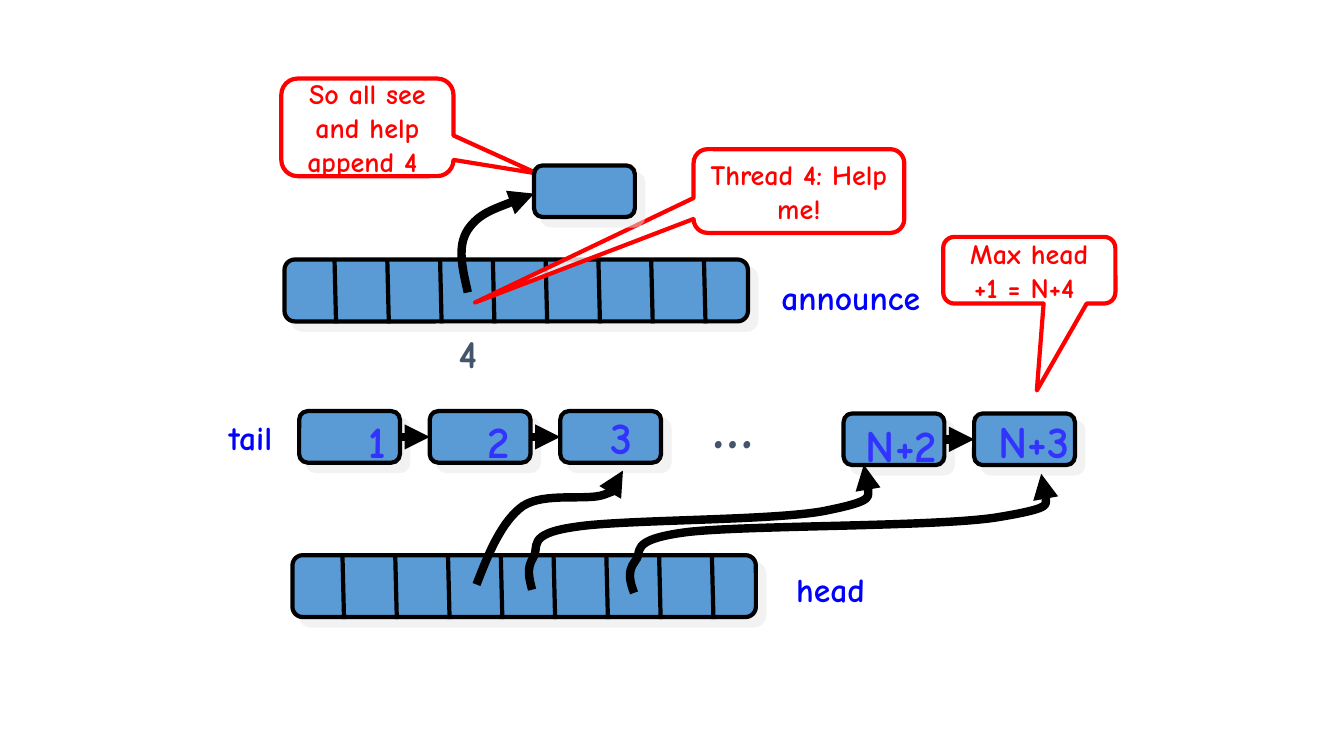
from lxml import etree
from pptx import Presentation
from pptx.dml.color import RGBColor
from pptx.enum.shapes import MSO_CONNECTOR, MSO_SHAPE
from pptx.enum.text import MSO_ANCHOR, PP_ALIGN
from pptx.oxml.ns import qn
from pptx.util import Cm, Pt

STRAIGHT = MSO_CONNECTOR.STRAIGHT
ROUNDED = MSO_SHAPE.ROUNDED_RECTANGLE
CALLOUT = MSO_SHAPE.ROUNDED_RECTANGULAR_CALLOUT
CENTER, RIGHT = PP_ALIGN.CENTER, PP_ALIGN.RIGHT
MIDDLE = MSO_ANCHOR.MIDDLE

FONT = "Comic Neue"
COLORS = {
    "cell": "5B9BD5", "ink": "000000", "shadow": "E7E6E6", "paper": "FFFFFF",
    "alert": "FF0000", "name": "0000FF", "number": "3333FF", "index": "44546A",
}

# All lengths are in centimetres.
NODE_W, NODE_H, NODE_PITCH = 2.54, 1.3, 3.29
ARRAY_W, ARRAY_H = 11.68, 1.56
DIVIDERS, DIVIDER_START, DIVIDER_PITCH = 8, 1.26, 1.33
DIVIDER_H, DIVIDER_SLANT = 1.61, 0.04

# first node left, top, number of linked nodes
CHAINS = [(7.54, 10.36, 3), (21.26, 10.42, 2)]
NEW_NODE = (13.46, 4.17)
HEAD_ARRAY, ANNOUNCE_ARRAY = (7.37, 13.99), (7.17, 6.54)

# text, left, top, width, height, size, colour
LABELS = [
    ("announce", 19.33, 6.86, 4.11, 1.27, 24, "name"),
    ("tail", 5.26, 10.39, 1.85, 1.27, 24, "name"),
    ("head", 19.61, 14.22, 2.44, 1.27, 24, "name"),
    ("1", 8.79, 10.29, 1.19, 1.6, 32, "number"),
    ("2", 11.91, 10.31, 1.19, 1.6, 32, "number"),
    ("3", 15.01, 10.19, 1.19, 1.6, 32, "number"),
    ("N+2", 21.08, 10.39, 2.79, 1.6, 32, "number"),
    ("N+3", 24.41, 10.29, 2.79, 1.6, 32, "number"),
    ("…", 17.68, 9.63, 1.55, 2.11, 44, "index"),
    ("4", 11.15, 8.18, 1.12, 1.45, 28, "index"),
]

# text, left, top, width, height, pointer x and y, opacity in percent
CALLOUTS = [
    ("Max head +1 = N+4 ", 23.77, 5.97, 4.34, 1.68, 0.044, 1.804, 0),
    ("Thread 4: Help me!", 17.48, 3.76, 5.31, 2.11, -1.537, 1.331, 80),
    ("So all see and help append 4 ", 7.09, 1.98, 4.34, 2.46, 0.987, 0.473, 80),
]

# start point, then three Bezier points per curve
POINTERS = {
    "announce 4 to new node": [
        (11.79, 7.37), (11.66, 6.78), (11.51, 6.22), (11.79, 5.79),
        (12.07, 5.38), (12.78, 5.13), (13.46, 4.88)],
    "head to N+3": [
        (15.98, 14.94), (15.88, 14.68), (15.8, 14.4), (16, 14.15),
        (16.23, 13.92), (15.77, 13.61), (17.3, 13.41),
        (18.82, 13.23), (23.7, 13.28), (25.17, 13.03),
        (26.67, 12.78), (26.44, 12.37), (26.24, 11.94)],
    "head to 3": [
        (12.01, 14.73), (12.32, 13.92), (12.65, 13.13), (13.18, 12.75),
        (13.72, 12.4), (14.78, 12.62), (15.21, 12.47),
        (15.62, 12.32), (15.67, 12.09), (15.7, 11.86)],
    "head to N+2": [
        (13.41, 14.86), (13.34, 14.58), (13.26, 14.33), (13.44, 14.05),
        (13.61, 13.79), (13.23, 13.46), (14.48, 13.28),
        (15.72, 13.08), (19.69, 13.13), (20.9, 12.85),
        (22.12, 12.6), (21.95, 12.17), (21.77, 11.71)],
}


def rgb(name):
    """Return a palette colour."""
    return RGBColor.from_string(COLORS[name])


def add_child(parent, tag, **attributes):
    """Append a DrawingML element."""
    texts = {key: str(value) for key, value in attributes.items()}
    return etree.SubElement(parent, qn("a:" + tag), texts)


def set_line(item, color, width, arrow=False):
    """Style an outline and, if asked, give its end an arrowhead."""
    item.line.color.rgb = rgb(color)
    item.line.width = Pt(width)
    if arrow:
        add_child(item.line._get_or_add_ln(), "tailEnd", type="triangle")


def add_text(frame, text, size, color, align):
    """Write one bold run into a text frame."""
    paragraph = frame.paragraphs[0]
    paragraph.alignment = align
    run = paragraph.add_run()
    run.text = text
    run.font.name, run.font.size, run.font.bold = FONT, Pt(size), True
    run.font.color.rgb = rgb(color)


def add_box(shapes, left, top, width, height):
    """Add a blue rounded box with an offset shadow."""
    box = shapes.add_shape(ROUNDED, Cm(left), Cm(top), Cm(width), Cm(height))
    box.fill.solid()
    box.fill.fore_color.rgb = rgb("cell")
    set_line(box, "ink", 3)
    box.shadow.inherit = False
    effects = box._element.spPr.find(qn("a:effectLst"))
    shadow = add_child(effects, "outerShdw", dist=Pt(8.5), dir=45 * 60000,
                       algn="ctr", rotWithShape=0)
    tint = add_child(shadow, "srgbClr", val=COLORS["shadow"])
    add_child(tint, "alpha", val=50000)


def add_segment(shapes, start, end, width, arrow=False):
    """Add a straight black line without a shadow."""
    points = [Cm(value) for value in (*start, *end)]
    segment = shapes.add_connector(STRAIGHT, *points)
    set_line(segment, "ink", width, arrow)
    add_child(segment._element.spPr, "effectLst")


def add_chain(shapes, left, top, count):
    """Add nodes in a row, each linked to the next."""
    middle = top + NODE_H / 2
    for index in range(count):
        x = left + index * NODE_PITCH
        add_box(shapes, x, top, NODE_W, NODE_H)
        if index:
            add_segment(shapes, (x - NODE_PITCH + NODE_W, middle),
                        (x, middle), 6, arrow=True)


def add_array(shapes, left, top):
    """Add a grouped array: a long box cut by slightly slanted dividers."""
    cells = shapes.add_group_shape().shapes
    add_box(cells, left, top, ARRAY_W, ARRAY_H)
    for index in range(DIVIDERS):
        x = left + DIVIDER_START + index * DIVIDER_PITCH
        add_segment(cells, (x, top), (x + DIVIDER_SLANT, top + DIVIDER_H), 3)


def add_callout(shapes, text, left, top, width, height, tip_x, tip_y, opacity):
    """Add a red speech bubble pointing at its target."""
    bubble = shapes.add_shape(CALLOUT, Cm(left), Cm(top), Cm(width), Cm(height))
    bubble.adjustments[0], bubble.adjustments[1] = tip_x, tip_y
    if opacity:
        bubble.fill.solid()
        bubble.fill.fore_color.rgb = rgb("paper")
        tint = bubble._element.spPr.find(qn("a:solidFill"))[0]
        add_child(tint, "alpha", val=opacity * 1000)
    else:
        bubble.fill.background()
    set_line(bubble, "alert", 3)
    bubble.shadow.inherit = False
    bubble.text_frame.word_wrap = True
    bubble.text_frame.vertical_anchor = MIDDLE
    add_text(bubble.text_frame, text, 20, "alert", CENTER)


def add_label(shapes, text, left, top, width, height, size, color):
    """Add a right-aligned label on one line."""
    label = shapes.add_textbox(Cm(left), Cm(top), Cm(width), Cm(height))
    label.text_frame.word_wrap = False
    add_text(label.text_frame, text, size, color, RIGHT)


def add_pointer(shapes, points):
    """Add a curved arrow, turning each three segments into a Bezier curve."""
    start, *bends = [(Cm(x), Cm(y)) for x, y in points]
    builder = shapes.build_freeform(*start)
    builder.add_line_segments(bends, close=False)
    pointer = builder.convert_to_shape()
    pointer.fill.background()
    set_line(pointer, "ink", 6, arrow=True)
    pointer.shadow.inherit = False
    outline = pointer._element.xpath(".//a:path")[0]
    segments = outline.findall(qn("a:lnTo"))
    for first in range(0, len(segments), 3):
        curve = add_child(outline, "cubicBezTo")
        for segment in segments[first:first + 3]:
            curve.append(segment[0])
            outline.remove(segment)


deck = Presentation()
deck.slide_width, deck.slide_height = Cm(33.87), Cm(19.05)
slide = deck.slides.add_slide(deck.slide_layouts[6])
canvas = slide.shapes

for chain in CHAINS:
    add_chain(canvas, *chain)
for corner in (HEAD_ARRAY, ANNOUNCE_ARRAY):
    add_array(canvas, *corner)
for label_row in LABELS:
    add_label(canvas, *label_row)
for callout_row in CALLOUTS:
    add_callout(canvas, *callout_row)
add_box(canvas, *NEW_NODE, NODE_W, NODE_H)
for route in POINTERS.values():
    add_pointer(canvas, route)

deck.save("out.pptx")
